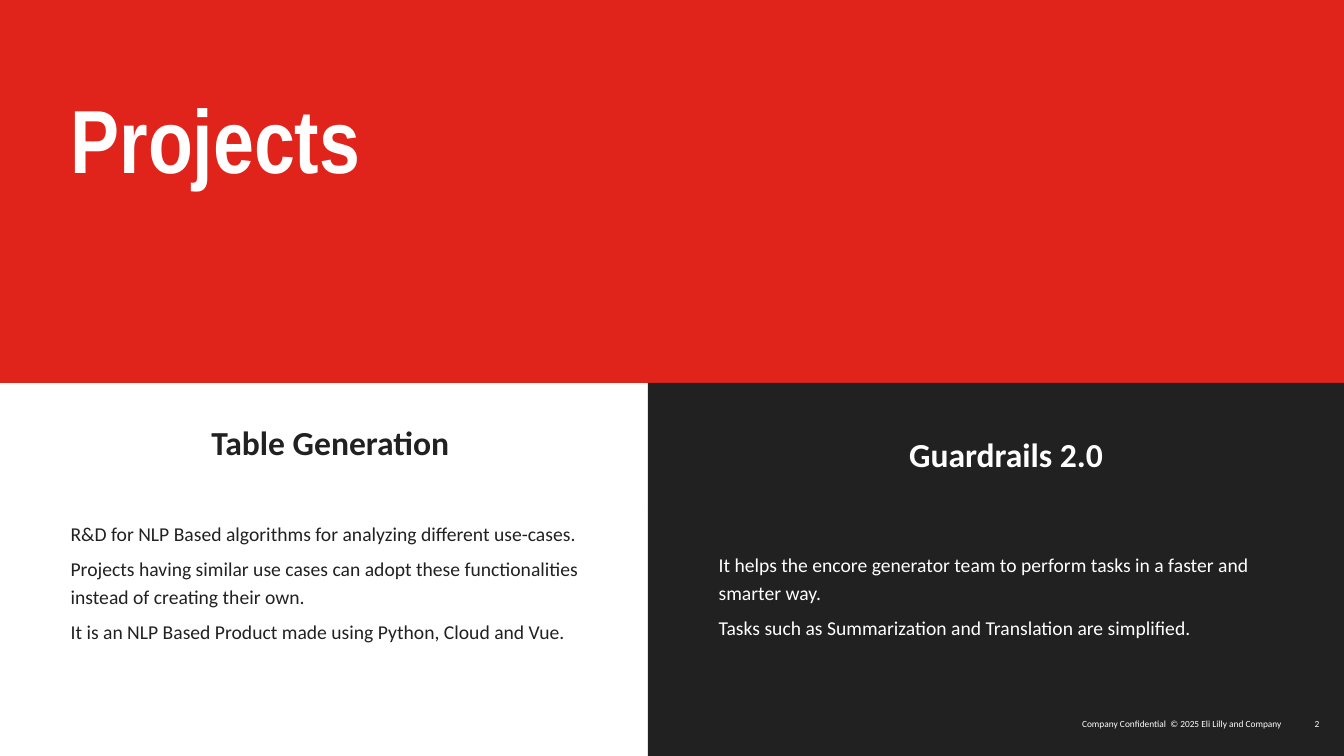
from pptx import Presentation
from pptx.dml.color import RGBColor
from pptx.enum.shapes import MSO_SHAPE
from pptx.enum.text import MSO_ANCHOR as ANCHOR, PP_ALIGN as ALIGN
from pptx.util import Cm, Pt

WIDTH, HEIGHT = 33.87, 19.05
TITLE_H, HEAD_H, SPLIT = 9.65, 3.1, 16.33
RED, DARK, WHITE = "E1241B", "212121", "FFFFFF"


def rgb(value):
    return RGBColor.from_string(value)


class Deck:
    font = "Calibri"

    def __init__(self):
        self.prs = Presentation()
        self.prs.slide_width, self.prs.slide_height = Cm(WIDTH), Cm(HEIGHT)
        self.slide = self.prs.slides.add_slide(self.prs.slide_layouts[6])

    def box(self, x, y, w, h, fill=None):
        """Text box, or a filled rectangle when a fill is given."""
        place = Cm(x), Cm(y), Cm(w), Cm(h)
        if fill is None:
            return self.slide.shapes.add_textbox(*place)
        sp = self.slide.shapes.add_shape(MSO_SHAPE.RECTANGLE, *place)
        sp.shadow.inherit = False
        sp.fill.solid()
        sp.fill.fore_color.rgb = rgb(fill)
        sp.line.fill.background()
        return sp

    def set_text(self, sp, lines, size, color, insets=(0, 0, 0, 0), bold=False,
                 font=None, align=ALIGN.LEFT, anchor=ANCHOR.TOP, spacing=1.0, gap=0):
        tf = sp.text_frame
        tf.word_wrap = True
        tf.vertical_anchor = anchor
        (tf.margin_left, tf.margin_top,
         tf.margin_right, tf.margin_bottom) = map(Cm, insets)
        tf.text = "\n".join(lines)
        for i, p in enumerate(tf.paragraphs):
            p.alignment = align
            p.line_spacing = spacing
            p.space_before = Pt(gap if i else 0)
            for r in p.runs:
                r.font.name = font or self.font
                r.font.size = Pt(size)
                r.font.bold = bold
                r.font.color.rgb = rgb(color)

    def title(self, text):
        sp = self.box(0, 0, WIDTH, TITLE_H, RED)
        self.set_text(sp, [text], 64, WHITE, (1.78, 2.29, 1.78, 1.52), bold=True,
                      font="Arial Narrow", spacing=Pt(72))

    def project(self, x, w, fill, color, heading, head_top, lines, body_top):
        sp = self.box(x, TITLE_H, w, HEAD_H, fill)
        self.set_text(sp, [heading], 24, color, (1.78, head_top, 1.27, 0),
                      bold=True, align=ALIGN.CENTER, spacing=0.85)
        y = TITLE_H + HEAD_H
        sp = self.box(x, y, w, HEIGHT - y, fill)
        self.set_text(sp, lines, 14, color, (1.78, body_top, 1.27, 0),
                      spacing=Pt(20), gap=5)

    def footer(self, x, w, text):
        self.set_text(self.box(x, 18.08, w, 0.33), [text], 6.7, WHITE,
                      align=ALIGN.RIGHT, anchor=ANCHOR.MIDDLE)


def main():
    deck = Deck()
    deck.title("Projects")

    # Project panels
    deck.project(0, SPLIT, None, DARK, "Table Generation ", 1.4, [
        "R&D for NLP Based algorithms for analyzing different use-cases.",
        "Projects having similar use cases can adopt these functionalities "
        "instead of creating their own.",
        "It is an NLP Based Product made using Python, Cloud and Vue.",
    ], 0.3)
    deck.project(SPLIT, WIDTH - SPLIT, DARK, WHITE, "Guardrails 2.0", 1.45, [
        "It helps the encore generator team to perform tasks in a faster "
        "and smarter way.",
        "Tasks such as Summarization and Translation are simplified.",
    ], 1.06)

    # Footer and page number
    deck.footer(25.53, 6.78, "Company Confidential  © 2025 Eli Lilly and Company")
    deck.footer(32.41, 0.84, "2")

    deck.prs.save("out.pptx")


if __name__ == "__main__":
    main()
